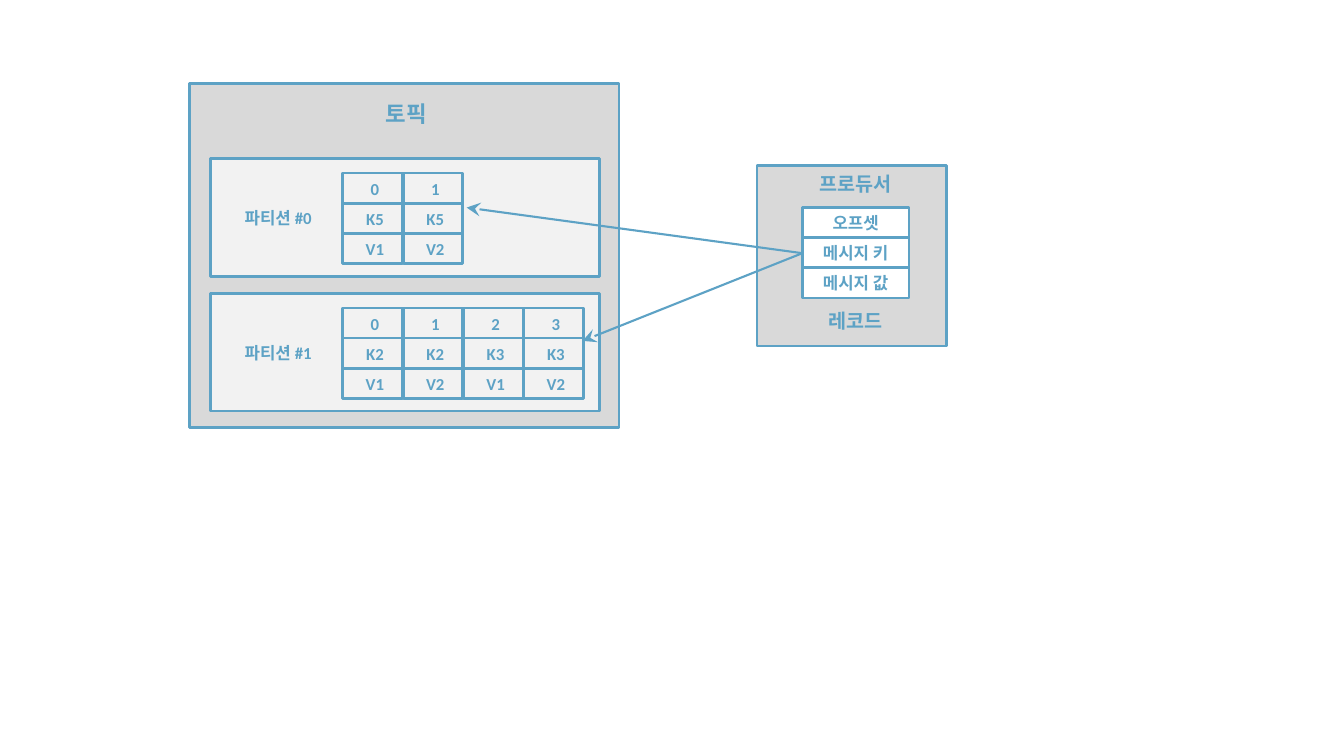
from lxml.etree import SubElement
from pptx import Presentation
from pptx.dml.color import RGBColor
from pptx.enum.shapes import MSO_CONNECTOR, MSO_SHAPE
from pptx.enum.text import MSO_AUTO_SIZE, PP_ALIGN
from pptx.oxml.ns import qn
from pptx.util import Cm, Pt

BLUE, GREY, PALE, WHITE = "5DA2C5", "D9D9D9", "F2F2F2", "FFFFFF"
FONT = "Calibri"
ROW_H = 0.76
CELL_W, CELL_STEP = 1.5, 1.52
PARTITIONS = [
    ("파티션 #0", 3.99, [["0", "1"], ["K5", "K5"], ["V1", "V2"]]),
    ("파티션 #1", 7.39, [["0", "1", "2", "3"],
                      ["K2", "K2", "K3", "K3"],
                      ["V1", "V2", "V1", "V2"]]),
]
RECORD_FIELDS = ["오프셋", "메시지 키", "메시지 값"]


def rgb(value):
    """Return the colour for a hex string."""
    return RGBColor.from_string(value)


def add_text(p, text, size=12, color=BLUE, bold=True):
    """Add a formatted run to a paragraph."""
    r = p.add_run()
    r.text = text
    r.font.name = FONT
    r.font.size = Pt(size)
    r.font.bold = bold
    r.font.color.rgb = rgb(color)


def add_label(s, text, x, y, w, h=ROW_H, **fmt):
    """Add a centred text box."""
    sp = s.shapes.add_textbox(Cm(x), Cm(y), Cm(w), Cm(h))
    tf = sp.text_frame
    tf.word_wrap = True
    tf.auto_size = MSO_AUTO_SIZE.SHAPE_TO_FIT_TEXT
    p = tf.paragraphs[0]
    p.alignment = PP_ALIGN.CENTER
    add_text(p, text, **fmt)


def add_box(s, x, y, w, h, fill=None):
    """Add an outlined rectangle, hollow unless a fill is given."""
    sp = s.shapes.add_shape(MSO_SHAPE.RECTANGLE, Cm(x), Cm(y), Cm(w), Cm(h))
    sp.shadow.inherit = False
    sp.line.color.rgb = rgb(BLUE)
    sp.line.width = Pt(2)
    if fill:
        sp.fill.solid()
        sp.fill.fore_color.rgb = rgb(fill)
    else:
        sp.fill.background()


def add_arrow(s, x1, y1, x2, y2):
    """Add a straight arrow with a stealth head at its end."""
    c = s.shapes.add_connector(MSO_CONNECTOR.STRAIGHT, Cm(x1), Cm(y1), Cm(x2), Cm(y2))
    c.line.color.rgb = rgb(BLUE)
    c.line.width = Pt(1.5)
    SubElement(c.line._get_or_add_ln(), qn("a:tailEnd"), type="stealth", w="lg", len="lg")
    SubElement(c._element.spPr, qn("a:effectLst"))


def add_partition(s, name, top, rows):
    """Add a partition with its grid of offsets, keys and values."""
    add_box(s, 5.31, top, 9.8, 2.97, PALE)
    add_label(s, name, 5.46, top + 1.11, 3.1)
    for i, row in enumerate(rows):
        for j, text in enumerate(row):
            x, y = 8.64 + j * CELL_STEP, top + 0.37 + i * ROW_H
            add_box(s, x, y, CELL_W, ROW_H)
            add_label(s, text, x + 0.1, y + 0.01, 1.42)


def add_topic(s):
    """Add the topic and its partitions."""
    add_box(s, 4.78, 2.11, 10.82, 8.66, GREY)
    add_label(s, "토픽", 8.43, 2.39, 3.61, 0.94, size=16)
    for name, top, rows in PARTITIONS:
        add_partition(s, name, top, rows)


def add_producer(s):
    """Add the producer with the fields of its record."""
    add_box(s, 19.08, 4.17, 4.78, 4.55, GREY)
    for i, text in enumerate(RECORD_FIELDS):
        y = 5.23 + i * ROW_H
        add_box(s, 20.22, y, 2.69, ROW_H, WHITE)
        add_label(s, text, 20.27, y, 2.59)
    for text, y in [("프로듀서", 4.22), ("레코드", 7.67)]:
        add_label(s, text, 19.76, y, 3.61, 0.86, size=14)


def main():
    """Build the slide and save it."""
    prs = Presentation()
    prs.slide_width, prs.slide_height = Cm(33.87), Cm(19.05)
    s = prs.slides.add_slide(prs.slide_layouts[6])
    add_topic(s)
    add_producer(s)
    for x, y in [(11.76, 5.23), (14.68, 8.59)]:
        add_arrow(s, 20.22, 6.38, x, y)
    prs.save("out.pptx")


if __name__ == "__main__":
    main()
